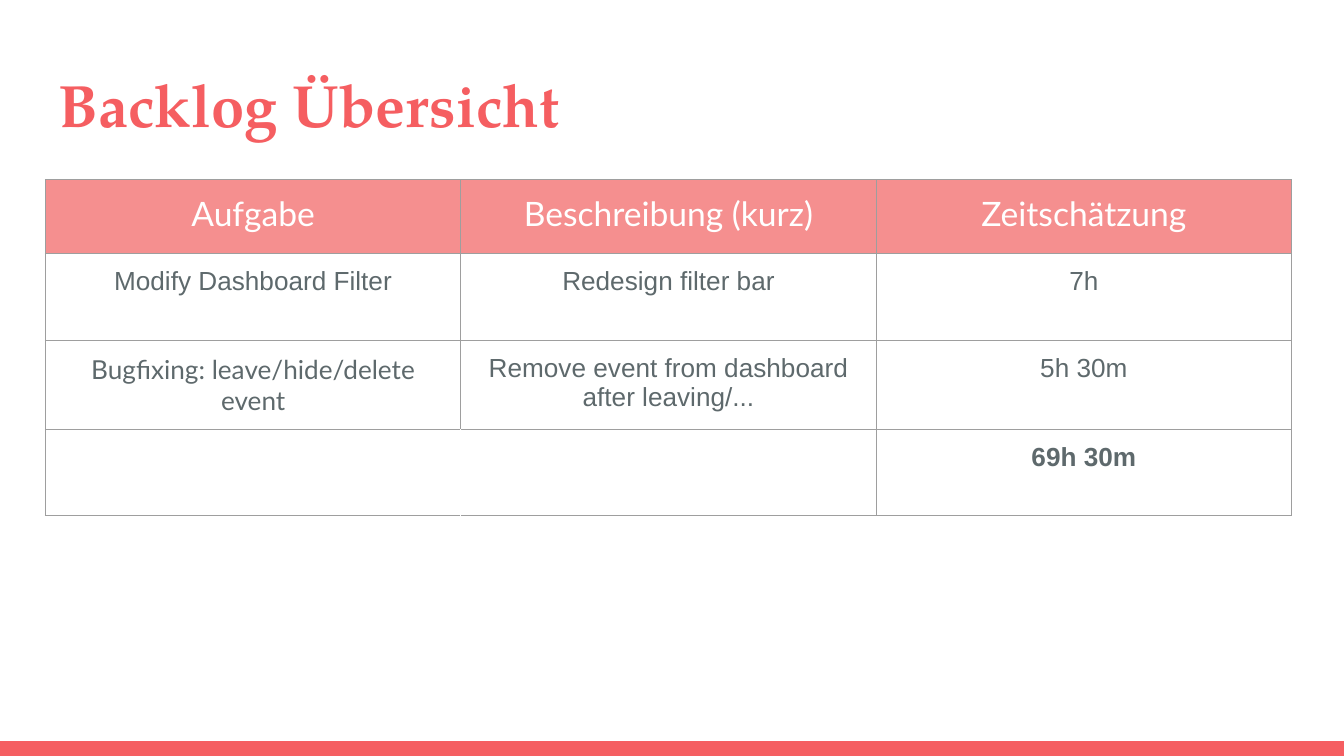
from lxml import etree
from pptx import Presentation
from pptx.dml.color import RGBColor
from pptx.enum.shapes import MSO_SHAPE
from pptx.enum.text import MSO_ANCHOR, PP_ALIGN
from pptx.oxml.ns import qn
from pptx.util import Cm, Pt

RECT = MSO_SHAPE.RECTANGLE
MIDDLE = MSO_ANCHOR.MIDDLE
CENTER = PP_ALIGN.CENTER

COLORS = {
    "coral": "F55E61",
    "head": "F58F8F",
    "text": "5E696C",
    "grid": "9E9E9E",
    "white": "FFFFFF",
}
PAD = Cm(0.25)


def style(par, name, size, color, bold=False):
    """Set the font of a whole paragraph."""
    font = par.font
    font.name, font.size, font.bold = name, Pt(size), bold
    font.color.rgb = RGBColor.from_string(COLORS[color])


def border(cell, **sides):
    """Draw the sides of a cell, given as L, R, T, B in that order."""
    props = cell._tc.get_or_add_tcPr()
    for i, (side, color) in enumerate(sides.items()):
        line = etree.Element(qn(f"a:ln{side}"), w=str(Pt(0.75)))
        fill = etree.SubElement(line, qn("a:solidFill"))
        etree.SubElement(fill, qn("a:srgbClr"), val=COLORS[color])
        props.insert(i, line)


prs = Presentation()
prs.slide_width, prs.slide_height = Cm(25.4), Cm(14.29)
slide = prs.slides.add_slide(prs.slide_layouts[6])

# Footer bar
bar = slide.shapes.add_shape(RECT, 0, Cm(14.01), prs.slide_width, Cm(0.28))
bar.shadow.inherit = False
bar.fill.solid()
bar.fill.fore_color.rgb = RGBColor.from_string(COLORS["coral"])
bar.line.fill.background()

# Title
title = slide.shapes.add_textbox(Cm(0.86), Cm(1.1), Cm(23.67), Cm(1.73))
frame = title.text_frame
frame.word_wrap = True
frame.vertical_anchor = MIDDLE
frame.margin_left = frame.margin_right = PAD
frame.margin_top = frame.margin_bottom = PAD
frame.text = "Backlog Übersicht"
style(frame.paragraphs[0], "TeX Gyre Pagella", 32, "coral", True)

# Backlog table
rows = [
    ["Aufgabe", "Beschreibung (kurz)", "Zeitschätzung"],
    ["Modify Dashboard Filter", "Redesign filter bar", "7h"],
    ["Bugfixing: leave/hide/delete event",
     "Remove event from dashboard after leaving/...", "5h 30m"],
    ["", "", "69h 30m"],
]
heights = [1.4, 1.63, 1.63, 1.63]
table = slide.shapes.add_table(
    len(rows), 3, Cm(0.86), Cm(3.4), Cm(23.55), Cm(sum(heights))).table
for col in table.columns:
    col.width = Cm(7.85)

for r, texts in enumerate(rows):
    table.rows[r].height = Cm(heights[r])
    head, total = r == 0, r == len(rows) - 1
    for c, text in enumerate(texts):
        cell = table.cell(r, c)
        cell.margin_left = cell.margin_right = PAD
        cell.margin_top = cell.margin_bottom = PAD
        cell.text = text
        par = cell.text_frame.paragraphs[0]
        par.alignment = CENTER
        if head:
            cell.fill.solid()
            cell.fill.fore_color.rgb = RGBColor.from_string(COLORS["head"])
            style(par, "Lato", 18, "white")
        else:
            cell.fill.background()
            name = "Lato" if (r, c) == (2, 0) else "Arial"
            style(par, name, 14, "text", total)
        # The two empty cells of the total row look like one
        border(cell,
               L="white" if total and c == 1 else "grid",
               R="white" if total and c == 0 else "grid",
               T="grid", B="grid")

prs.save("out.pptx")
